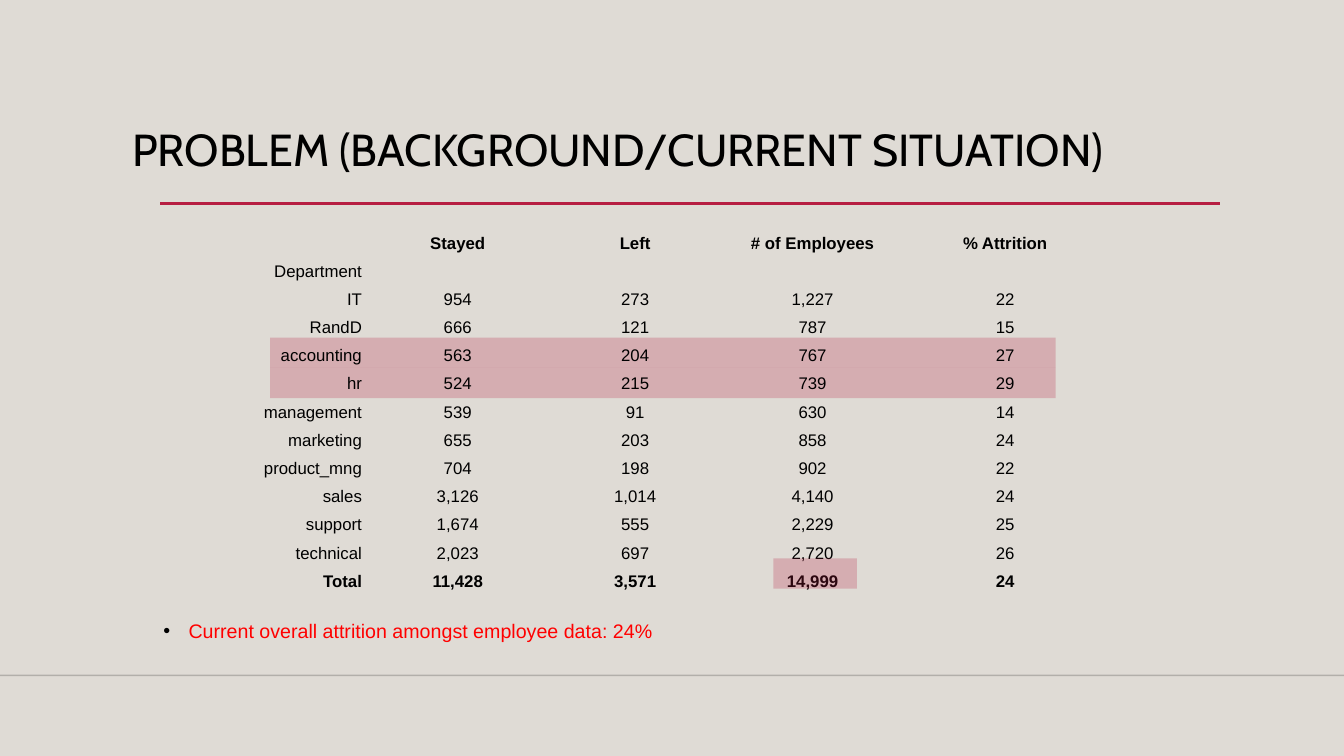
from dataclasses import dataclass

from lxml.etree import SubElement
from pptx import Presentation
from pptx.dml.color import RGBColor
from pptx.enum.shapes import MSO_CONNECTOR, MSO_SHAPE
from pptx.enum.text import MSO_ANCHOR, MSO_AUTO_SIZE, PP_ALIGN
from pptx.oxml.ns import qn
from pptx.util import Inches, Pt

TITLE = "PROBLEM (BACKGROUND/CURRENT SITUATION)"
FINDING = "Current overall attrition amongst employee data: 24%"
ROWS = [
    ("", "Stayed", "Left", "# of Employees", "% Attrition"),
    ("Department", "", "", "", ""),
    ("IT", "954", "273", "1,227", "22"),
    ("RandD", "666", "121", "787", "15"),
    ("accounting", "563", "204", "767", "27"),
    ("hr", "524", "215", "739", "29"),
    ("management", "539", "91", "630", "14"),
    ("marketing", "655", "203", "858", "24"),
    ("product_mng", "704", "198", "902", "22"),
    ("sales", "3,126", "1,014", "4,140", "24"),
    ("support", "1,674", "555", "2,229", "25"),
    ("technical", "2,023", "697", "2,720", "26"),
    ("Total", "11,428", "3,571", "14,999", "24"),
]

# Inches
WIDTH, HEIGHT = 13.33, 7.5
TITLE_BOX = (1.21, 1.22, 10.5, 1.15)
FINDING_BOX = (1.52, 6.04, 6.67, 0.36)
TABLE_LEFT, TABLE_TOP = 1.9, 2.1
COLUMNS = [1.76] * 4 + [2.06]
ROW_HEIGHTS = [0.45] + [0.27] * (len(ROWS) - 1)
BAND = 0.3
DEPARTMENT_BANDS = [(2.68, 3.35 + BAND * i, 7.79, BAND) for i in (1, 0)]
TOTAL_BAND = (7.67, 5.54, 0.83, BAND)
NO_GRID_STYLE = "{2D5ABB26-0587-4C30-8999-92F81FD0307C}"


@dataclass(frozen=True)
class Theme:
    background: str = "DFDBD5"
    accent: str = "B71E42"
    text: str = "000000"
    floor: str = "000001"
    finding: str = "FF0000"
    heading_font: str = "Cabin"
    body_font: str = "Arial"
    title_size: int = 32
    finding_size: int = 14
    table_size: int = 12
    band_alpha: int = 24
    floor_alpha: int = 20


THEME = Theme()


def rgb(color):
    return RGBColor.from_string(color)


def set_alpha(shape, percent):
    """Make the first solid colour of the shape's fill or line translucent."""
    color = next(shape._element.spPr.iter(qn("a:srgbClr")))
    SubElement(color, qn("a:alpha")).set("val", str(percent * 1000))


def style_run(r, font, size, color, bold=False):
    r.font.name, r.font.size, r.font.bold = font, Pt(size), bold
    r.font.color.rgb = rgb(color)


def place(shape, box):
    shape.left, shape.top, shape.width, shape.height = map(Inches, box)


def add_rule(s, x1, x2, y, color, weight):
    line = s.shapes.add_connector(
        MSO_CONNECTOR.STRAIGHT, Inches(x1), Inches(y), Inches(x2), Inches(y))
    line.line.color.rgb, line.line.width = rgb(color), Pt(weight)
    SubElement(line._element.spPr, qn("a:effectLst"))
    return line


def add_band(s, box):
    band = s.shapes.add_shape(MSO_SHAPE.RECTANGLE, *map(Inches, box))
    band.shadow.inherit = False
    band.fill.solid()
    band.fill.fore_color.rgb = rgb(THEME.accent)
    band.line.fill.background()
    set_alpha(band, THEME.band_alpha)


def fill_title(sp):
    place(sp, TITLE_BOX)
    tf = sp.text_frame
    tf.text = TITLE
    tf.auto_size, tf.vertical_anchor = MSO_AUTO_SIZE.NONE, MSO_ANCHOR.TOP
    p = tf.paragraphs[0]
    p.alignment, p.line_spacing = PP_ALIGN.LEFT, 0.9
    style_run(p.runs[0], THEME.heading_font, THEME.title_size, THEME.text)


def fill_finding(sp):
    place(sp, FINDING_BOX)
    tf = sp.text_frame
    tf.text = FINDING
    tf.auto_size = MSO_AUTO_SIZE.SHAPE_TO_FIT_TEXT
    p = tf.paragraphs[0]
    p.line_spacing, p.space_before = 1.2, Pt(10)
    style_run(p.runs[0], THEME.body_font, THEME.finding_size, THEME.finding)
    pPr = p._p.get_or_add_pPr()
    pPr.set("marL", str(Inches(0.25)))
    pPr.set("indent", str(-Inches(0.25)))
    bullet_color = SubElement(pPr, qn("a:buClr"))
    SubElement(bullet_color, qn("a:srgbClr")).set("val", THEME.text)
    SubElement(pPr, qn("a:buFont")).set("typeface", THEME.body_font)
    SubElement(pPr, qn("a:buChar")).set("char", "•")


def fill_cell(cell, text, row, col):
    header, total = row == 0, row == len(ROWS) - 1
    cell.text = text
    cell.fill.background()
    cell.margin_left = cell.margin_right = Inches(0.07)
    cell.margin_top = cell.margin_bottom = Inches(0.04)
    cell.vertical_anchor = MSO_ANCHOR.BOTTOM if header else MSO_ANCHOR.MIDDLE
    p = cell.text_frame.paragraphs[0]
    p.alignment = PP_ALIGN.CENTER if col else PP_ALIGN.RIGHT
    for r in p.runs:
        style_run(r, THEME.body_font, THEME.table_size, THEME.text, header or total)
    if not text:  # keeps an empty cell from stretching its row
        SubElement(p._p, qn("a:endParaRPr")).set("sz", str(THEME.table_size * 100))


def add_attrition_table(s):
    frame = s.shapes.add_table(
        len(ROWS), len(COLUMNS), Inches(TABLE_LEFT), Inches(TABLE_TOP),
        Inches(sum(COLUMNS)), Inches(sum(ROW_HEIGHTS)))
    table = frame.table
    table.first_row = table.horz_banding = False
    table._tbl.tblPr.find(qn("a:tableStyleId")).text = NO_GRID_STYLE
    for column, width in zip(table.columns, COLUMNS):
        column.width = Inches(width)
    for i, (height, values) in enumerate(zip(ROW_HEIGHTS, ROWS)):
        table.rows[i].height = Inches(height)
        for j, text in enumerate(values):
            fill_cell(table.cell(i, j), text, i, j)


def main():
    prs = Presentation()
    prs.slide_width, prs.slide_height = Inches(WIDTH), Inches(HEIGHT)
    s = prs.slides.add_slide(prs.slide_layouts[1])
    s.background.fill.solid()
    s.background.fill.fore_color.rgb = rgb(THEME.background)

    floor = add_rule(s, 0, WIDTH, 6.7, THEME.floor, 1)
    set_alpha(floor, THEME.floor_alpha)
    add_rule(s, 1.59, 12.1, 2.02, THEME.accent, 2.5)
    fill_title(s.shapes.title)
    fill_finding(s.placeholders[1])
    for box in DEPARTMENT_BANDS:
        add_band(s, box)
    add_attrition_table(s)
    add_band(s, TOTAL_BAND)
    prs.save("out.pptx")


if __name__ == "__main__":
    main()
